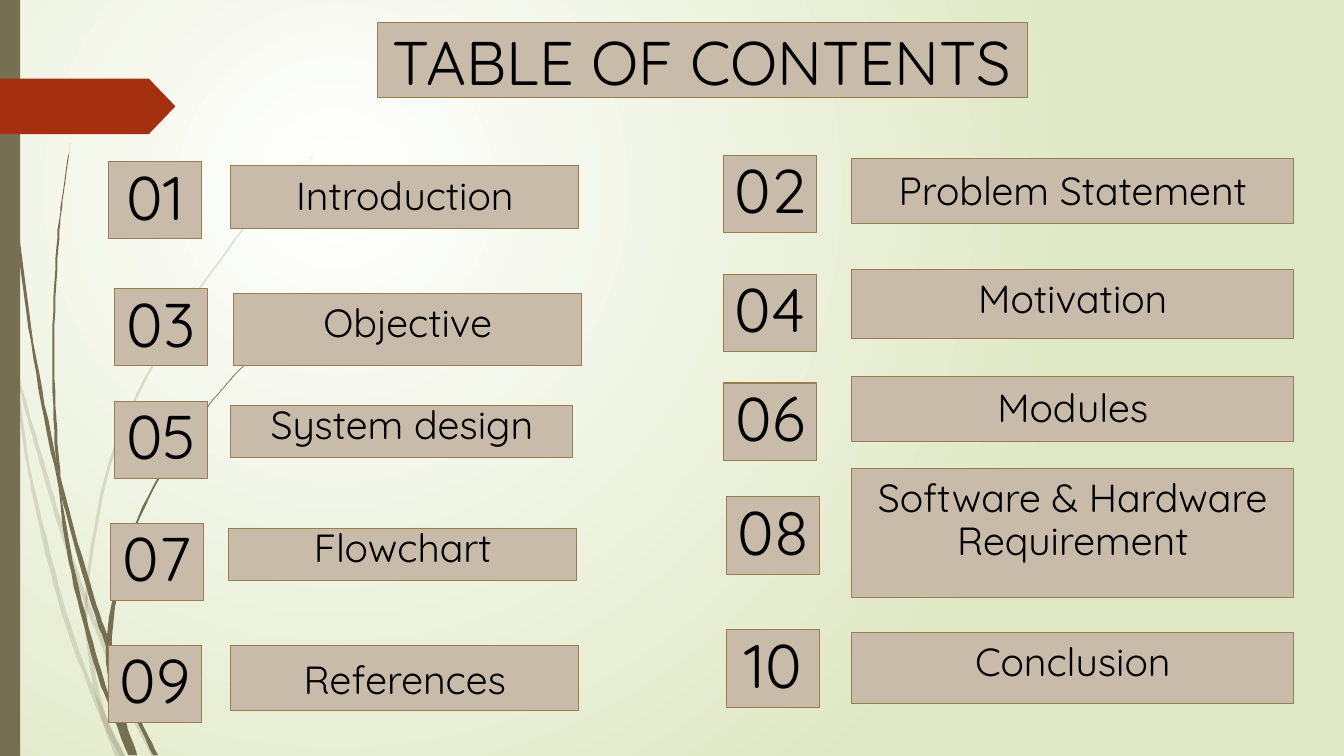
from dataclasses import dataclass
from typing import NamedTuple

from lxml.etree import SubElement
from pptx import Presentation
from pptx.dml.color import RGBColor
from pptx.enum.shapes import MSO_SHAPE as Preset
from pptx.enum.text import MSO_ANCHOR as Anchor, MSO_AUTO_SIZE as AutoSize, PP_ALIGN as Align
from pptx.oxml.ns import qn
from pptx.util import Inches, Pt

COLUMNS, ROWS = 1333, 750
TITLE_ONLY_LAYOUT = 5


@dataclass(frozen=True)
class Theme:
    font: str = "Quicksand"
    heading_size: int = 44
    topic_size: int = 28
    ink: str = "000000"
    panel: str = "C8BBAA"
    border: str = "987D4D"
    stem: str = "766F54"
    ribbon: str = "A53010"
    glow: str = "FFFFFF"
    field: str = "DFE8C4"


class Entry(NamedTuple):
    """A number cell and its topic cell; places are in grid columns and rows."""
    number: str
    number_at: tuple
    topic: str
    topic_box: tuple
    anchor: Anchor = Anchor.TOP
    spacing: float = 0.9


NUMBER_SIZE = (92, 77)
TITLE_BOX = (374, 22, 645, 75)
RIGHT, RIGHT_WIDTH = 845, 438

ENTRIES = [
    Entry("01", (108, 160), "Introduction", (229, 164, 345, 63), Anchor.BOTTOM),
    Entry("02", (718, 154), "Problem Statement", (RIGHT, 157, RIGHT_WIDTH, 65), Anchor.BOTTOM),
    Entry("03", (114, 286), "Objective", (232, 291, 345, 72)),
    Entry("04", (718, 272), "Motivation", (RIGHT, 267, RIGHT_WIDTH, 69)),
    Entry("05", (114, 398), "System design", (229, 402, 339, 52), Anchor.BOTTOM),
    Entry("06", (718, 380), "Modules", (RIGHT, 374, RIGHT_WIDTH, 64), Anchor.BOTTOM),
    Entry("07", (110, 519), "Flowchart", (227, 524, 345, 52), Anchor.BOTTOM, 1.0),
    Entry("08", (721, 493), "Software & Hardware Requirement",
          (RIGHT, 465, RIGHT_WIDTH, 128)),
    Entry("09", (108, 640), "References", (229, 640, 345, 65), spacing=1.0),
    Entry("10", (721, 625), "Conclusion", (RIGHT, 628, RIGHT_WIDTH, 70)),
]

# Each blade of grass is a list of cross-sections: row, left column, right column.
PALE_BLADES = [
    [(290, 0, 2), (376, 17, 20), (450, 37, 41), (520, 57, 62), (599, 84, 89),
     (692, 122, 127), (750, 150, 155)],
    [(350, 11, 12), (410, 19, 22), (470, 28, 31), (540, 43, 48), (620, 65, 70),
     (688, 90, 95), (750, 114, 124)],
    [(153, 312, 312), (198, 267, 268), (245, 227, 229), (348, 158, 160), (461, 107, 110),
     (584, 85, 88), (646, 87, 91), (710, 100, 105), (750, 119, 124)],
]
DARK_BLADES = [
    [(0, 3, 4), (110, 7, 8), (233, 17, 19), (355, 33, 36), (477, 57, 61),
     (591, 88, 93), (648, 108, 113), (707, 132, 136), (749, 152, 157)],
    [(477, 57, 59), (557, 68, 72), (658, 93, 98), (708, 111, 116), (749, 127, 136)],
    [(141, 70, 70), (193, 62, 63), (245, 56, 58), (349, 52, 54), (450, 55, 58), (505, 64, 64)],
    [(344, 260, 261), (373, 231, 232), (406, 204, 205), (475, 156, 158), (552, 122, 125),
     (632, 106, 111), (691, 110, 118), (749, 129, 136)],
]


def smooth(points, steps=8):
    """Return points along a Catmull-Rom curve through the given ones."""
    padded = [points[0], *points, points[-1]]
    curve = []
    for before, start, end, after in zip(padded, padded[1:], padded[2:], padded[3:]):
        for step in range(steps):
            t = step / steps
            curve.append(tuple(
                b + t * (c - a) / 2 + t * t * (a - 2.5 * b + 2 * c - d / 2)
                + t ** 3 * (1.5 * (b - c) + (d - a) / 2)
                for a, b, c, d in zip(before, start, end, after)))
    return curve + [points[-1]]


class ContentsSlide:
    def __init__(self, deck, theme):
        self.theme = theme
        self.column = deck.slide_width / COLUMNS
        self.row = deck.slide_height / ROWS
        self.slide = deck.slides.add_slide(deck.slide_layouts[TITLE_ONLY_LAYOUT])

    def place(self, box):
        left, top, width, height = box
        return (round(left * self.column), round(top * self.row),
                round(width * self.column), round(height * self.row))

    def paint(self, shape, color, border=None):
        shape.fill.solid()
        shape.fill.fore_color.rgb = RGBColor.from_string(color)
        if border:
            shape.line.color.rgb = RGBColor.from_string(border)
            shape.line.width = Pt(0.75)
        else:
            shape.line.fill.background()

    def background(self):
        """Fill the slide with a round glow centred in the upper left."""
        fill = self.slide.background.fill
        fill.gradient()
        for stop, color in zip(fill.gradient_stops, (self.theme.glow, self.theme.field)):
            stop.color.rgb = RGBColor.from_string(color)
        gradient = self.slide.element.find(".//" + qn("a:gradFill"))
        gradient.remove(gradient.find(qn("a:lin")))
        circle = SubElement(gradient, qn("a:path"), path="circle")
        SubElement(circle, qn("a:fillToRect"), l="50000", t="50000", r="100000", b="100000")

    def shape(self, preset, box, color, border=None):
        shape = self.slide.shapes.add_shape(preset, *self.place(box))
        shape.shadow.inherit = False
        self.paint(shape, color, border)
        return shape

    def blade(self, sections, opacity=100):
        left_edge = smooth([(left, row) for row, left, _ in sections])
        right_edge = smooth([(right, row) for row, _, right in sections])
        outline = left_edge + right_edge[::-1]
        builder = self.slide.shapes.build_freeform(
            *outline[0], scale=(self.column, self.row))
        builder.add_line_segments(outline[1:], close=True)
        blade = builder.convert_to_shape()
        blade.shadow.inherit = False
        self.paint(blade, self.theme.stem)
        if opacity < 100:
            color = blade.element.spPr.find(qn("a:solidFill")).find(qn("a:srgbClr"))
            SubElement(color, qn("a:alpha"), val=str(opacity * 1000))

    def label(self, shape, text, size, anchor, spacing=0.9):
        frame = shape.text_frame
        frame.word_wrap = True
        frame.auto_size = AutoSize.NONE
        frame.vertical_anchor = anchor
        frame.margin_left = frame.margin_right = Inches(0.1)
        frame.margin_top = frame.margin_bottom = Inches(0.1)
        paragraph = frame.paragraphs[0]
        paragraph.alignment = Align.CENTER
        paragraph.line_spacing = spacing
        paragraph.space_before = Pt(0)
        run = paragraph.add_run()
        run.text = text
        run.font.name = self.theme.font
        run.font.size = Pt(size)
        run.font.color.rgb = RGBColor.from_string(self.theme.ink)

    def title(self, text):
        title = self.slide.shapes.title
        title.left, title.top, title.width, title.height = self.place(TITLE_BOX)
        self.paint(title, self.theme.panel, self.theme.border)
        self.label(title, text, self.theme.heading_size, Anchor.TOP)

    def cell(self, box, text, size, anchor, spacing=0.9):
        panel = self.shape(Preset.RECTANGLE, box, self.theme.panel, self.theme.border)
        self.label(panel, text, size, anchor, spacing)

    def entry(self, entry):
        self.cell(entry.number_at + NUMBER_SIZE, entry.number,
                  self.theme.heading_size, Anchor.MIDDLE)
        self.cell(entry.topic_box, entry.topic, self.theme.topic_size,
                  entry.anchor, entry.spacing)


def main():
    deck = Presentation()
    deck.slide_width, deck.slide_height = Inches(13.33), Inches(7.5)
    theme = Theme()
    contents = ContentsSlide(deck, theme)
    contents.background()
    for sections in PALE_BLADES:
        contents.blade(sections, opacity=20)
    for sections in DARK_BLADES:
        contents.blade(sections)
    contents.shape(Preset.RECTANGLE, (0, 0, 20, ROWS), theme.stem)
    ribbon = contents.shape(Preset.PENTAGON, (0, 78, 174, 55), theme.ribbon)
    ribbon.adjustments[0] = 0.48
    contents.title("TABLE OF CONTENTS")
    for entry in ENTRIES:
        contents.entry(entry)
    deck.save("out.pptx")


if __name__ == "__main__":
    main()
